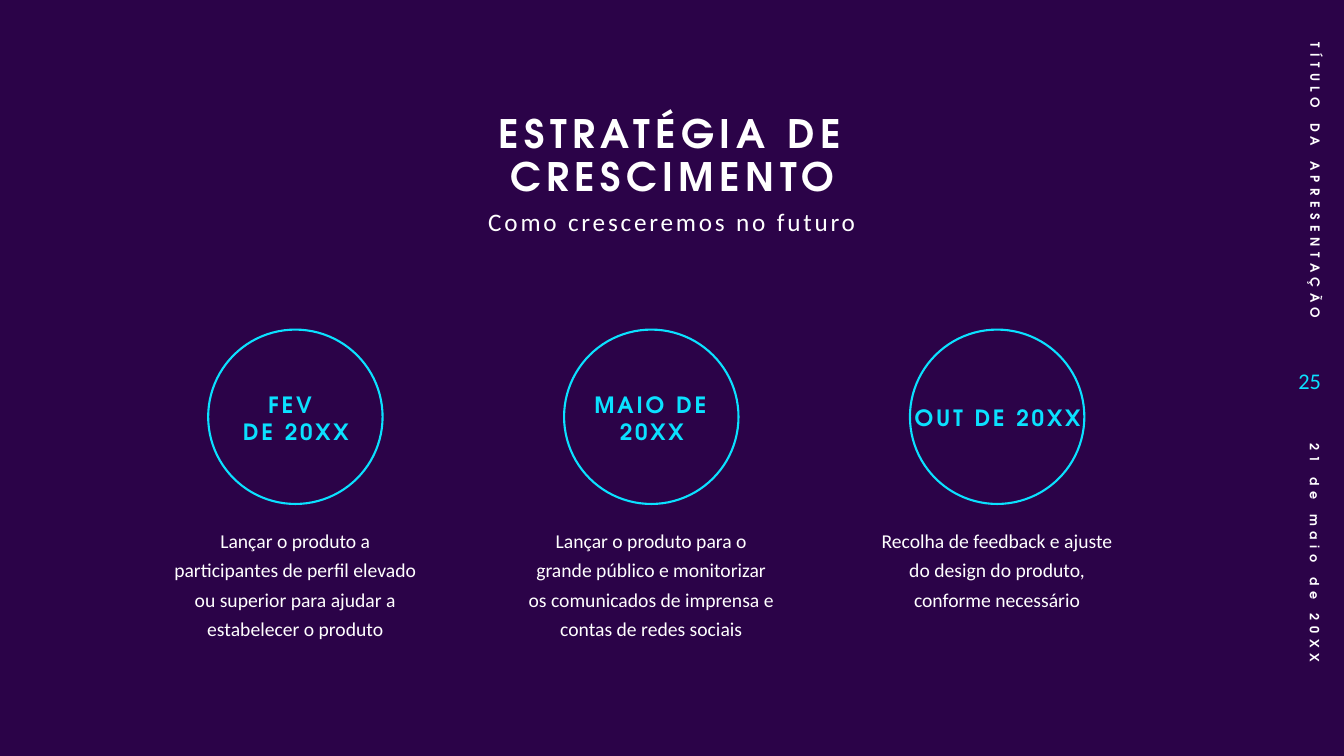
from pptx import Presentation
from pptx.dml.color import RGBColor
from pptx.enum.shapes import MSO_SHAPE
from pptx.enum.text import MSO_ANCHOR, PP_ALIGN
from pptx.util import Inches, Pt

PURPLE = RGBColor(0x2B, 0x03, 0x48)
CYAN = RGBColor(0x0B, 0xE1, 0xFF)
WHITE = RGBColor(0xFF, 0xFF, 0xFF)
HEAD = "TeX Gyre Adventor"
BODY = "Calibri"

# Centre of the column, date, goal
STEPS = [
    (2.93, "FEV \vDE 20XX",
     "Lançar o produto a participantes de perfil elevado ou superior "
     "para ajudar a estabelecer o produto"),
    (6.46, "MAIO DE 20XX",
     "Lançar o produto para o grande público e monitorizar os comunicados "
     "de imprensa e contas de redes sociais"),
    (9.89, "OUT DE 20XX",
     "Recolha de feedback e ajuste do design do produto, conforme necessário"),
]


def add_text(slide, box, text, size, font=BODY, color=WHITE, track=0,
             align=PP_ALIGN.CENTER, anchor=MSO_ANCHOR.MIDDLE, lead=1.0,
             inset=0.1, turn=0):
    """Add a text box; track is the letter spacing in points."""
    shape = slide.shapes.add_textbox(*map(Inches, box))
    shape.rotation = turn
    frame = shape.text_frame
    form = {"word_wrap": True, "vertical_anchor": anchor,
            "margin_left": Inches(inset), "margin_right": Inches(inset)}
    for name, value in form.items():
        setattr(frame, name, value)
    para = frame.paragraphs[0]
    para.text = text
    para.alignment = align
    para.line_spacing = lead
    style = {"name": font, "size": Pt(size), "bold": font == HEAD}
    for run in para.runs:
        for name, value in style.items():
            setattr(run.font, name, value)
        run.font.color.rgb = color
        if track:
            run.font._element.set("spc", str(track * 100))


def add_ring(slide, mid):
    size = 1.73
    ring = slide.shapes.add_shape(
        MSO_SHAPE.OVAL, Inches(mid - size / 2), Inches(3.27),
        Inches(size), Inches(size))
    ring.shadow.inherit = False
    ring.fill.background()
    ring.line.color.rgb = CYAN
    ring.line.width = Pt(1.5)


def add_step(slide, mid, date, goal):
    add_ring(slide, mid)
    add_text(slide, (mid - 0.93, 3.57, 1.87, 1.15), date, 16, HEAD, CYAN,
             track=2, inset=0.05)
    add_text(slide, (mid - 1.33, 5.14, 2.66, 1.26), goal, 14,
             anchor=MSO_ANCHOR.TOP, lead=1.25)


def add_side(slide):
    """Add the running title, page number and date at the right edge."""
    add_text(slide, (11.53, 1.54, 3.03, 0.4), "TÍTULO DA APRESENTAÇÃO", 9,
             HEAD, track=4, align=PP_ALIGN.RIGHT, turn=90)
    add_text(slide, (12.6, 3.46, 0.6, 0.63), "25", 16, color=CYAN,
             align=PP_ALIGN.RIGHT)
    add_text(slide, (11.59, 5.55, 2.9, 0.4), "21 de maio de 20XX", 9,
             HEAD, track=4, align=PP_ALIGN.LEFT, turn=90)


def main():
    deck = Presentation()
    deck.slide_width, deck.slide_height = Inches(13.33), Inches(7.5)
    slide = deck.slides.add_slide(deck.slide_layouts[6])
    fill = slide.background.fill
    fill.solid()
    fill.fore_color.rgb = PURPLE

    add_text(slide, (3.6, 0.99, 6.14, 1.04), "ESTRATÉGIA DE CRESCIMENTO", 28,
             HEAD, track=4, anchor=MSO_ANCHOR.BOTTOM, lead=0.9)
    add_text(slide, (3.85, 2.03, 5.63, 0.79), "Como cresceremos no futuro",
             18, track=2, anchor=MSO_ANCHOR.TOP, lead=0.9)
    for step in STEPS:
        add_step(slide, *step)
    add_side(slide)
    deck.save("out.pptx")


if __name__ == "__main__":
    main()
